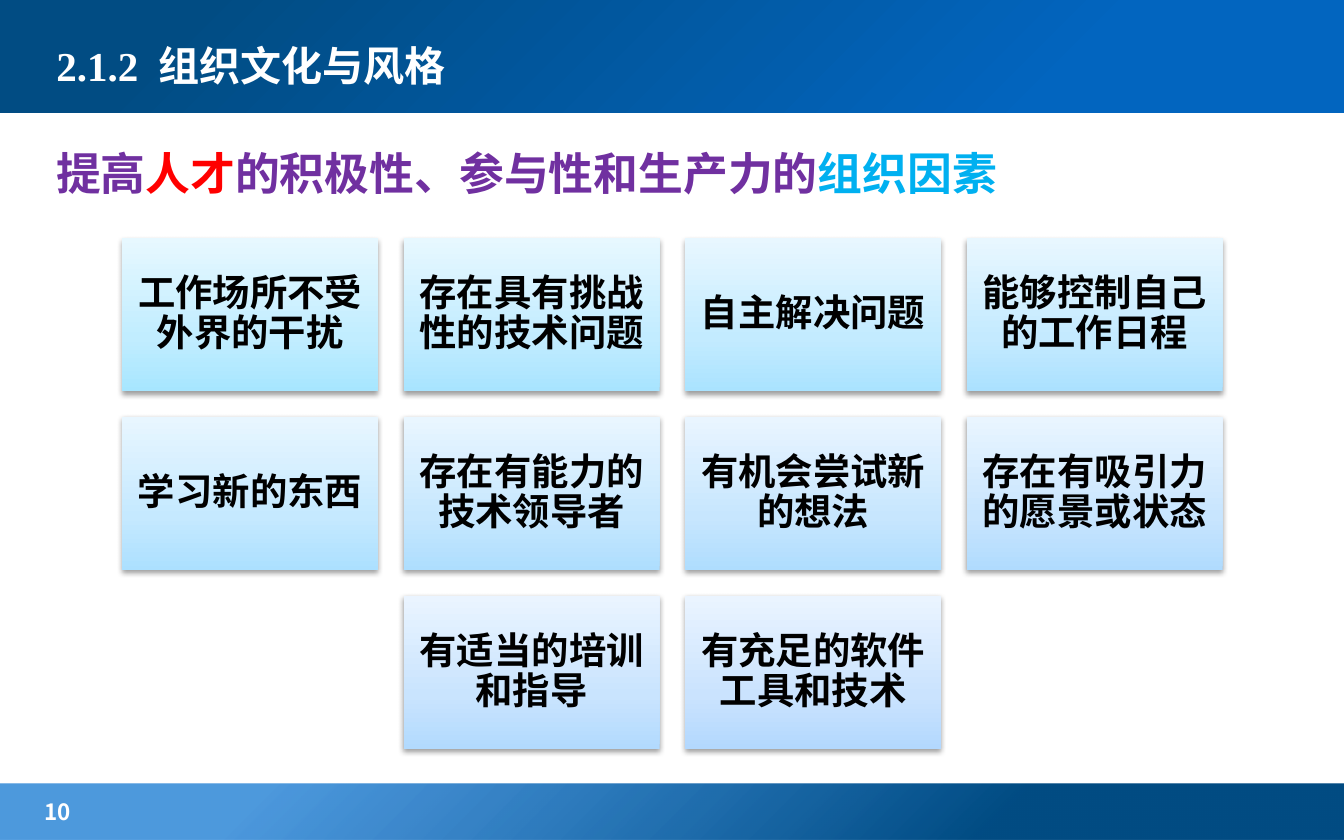
from pptx import Presentation
from pptx.dml.color import RGBColor as Rgb
from pptx.enum.shapes import MSO_SHAPE as Shape
from pptx.enum.text import MSO_ANCHOR as Anchor, PP_ALIGN as Align
from pptx.oxml import parse_xml
from pptx.oxml.ns import nsdecls, qn
from pptx.util import Cm, Pt

COLORS = {
    "white": "FFFFFF", "black": "000000", "purple": "7030A0",
    "red": "FF0000", "sky": "00B0F0", "navy": "014C83",
    "blue": "0265BF", "bright": "026DCE",
}
CARD_STOPS = [(0, "A7E6FF", "B3D8FE"), (35, "C1EDFF", "CAE3FE"), (100, "E7F8FF", "EAF4FF")]
RADIAL = '<a:path path="circle"><a:fillToRect l="100000" t="100000"/></a:path>'
UPWARD = '<a:lin ang="16200000" scaled="0"/>'
LATIN, CHINESE = "Times New Roman", "Noto Sans CJK SC"
CARD_ROWS = [
    (0, ["工作场所不受外界的干扰", "存在具有挑战性的技术问题", "自主解决问题", "能够控制自己的工作日程"]),
    (0, ["学习新的东西", "存在有能力的技术领导者", "有机会尝试新的想法", "存在有吸引力的愿景或状态"]),
    (1, ["有适当的培训和指导", "有充足的软件工具和技术"]),
]


def blend(start, end, share):
    pairs = zip(Rgb.from_string(start), Rgb.from_string(end))
    return str(Rgb(*(round(a + (b - a) * share) for a, b in pairs)))


class SlideStyler:
    def __init__(self, slide):
        self.slide = slide
        self.frame_style = {"word_wrap": True, "vertical_anchor": Anchor.MIDDLE}

    def set_text(self, box, spans, size, latin=LATIN, frame=None, para=None):
        text_frame = box.text_frame
        for name, value in {**self.frame_style, **(frame or {})}.items():
            setattr(text_frame, name, value)
        paragraph = text_frame.paragraphs[0]
        for name, value in {"alignment": Align.LEFT, **(para or {})}.items():
            setattr(paragraph, name, value)
        for text, color in spans:
            span = paragraph.add_run()
            span.text = text
            for name, value in {"size": Pt(size), "bold": True, "name": latin}.items():
                setattr(span.font, name, value)
            span.font.color.rgb = Rgb.from_string(COLORS[color])
        for face in list(box.element.iter(qn("a:latin"))):
            face.addnext(parse_xml(f'<a:ea {nsdecls("a")} typeface="{CHINESE}"/>'))

    def block(self, left, top, width, height, stops, direction):
        shape = self.slide.shapes.add_shape(
            Shape.RECTANGLE, Cm(left), Cm(top), Cm(width), Cm(height))
        marks = "".join(
            f'<a:gs pos="{place * 1000}"><a:srgbClr val="{color}">'
            f'<a:alpha val="{alpha * 1000}"/></a:srgbClr></a:gs>'
            for place, color, alpha in stops)
        gradient = parse_xml(
            f'<a:gradFill {nsdecls("a")} rotWithShape="1"><a:gsLst>{marks}</a:gsLst>'
            f'{direction}</a:gradFill>')
        shape.element.spPr.find(qn("a:prstGeom")).addnext(gradient)
        shape.line.fill.background()
        shape.shadow.inherit = False
        return shape

    def title(self, text, left, top, width, height):
        box = self.slide.shapes.title
        place = {"left": left, "top": top, "width": width, "height": height}
        for name, value in place.items():
            setattr(box, name, Cm(value))
        box.element.getparent().append(box.element)
        self.set_text(box, [(text, "white")], 22)

    def text(self, spans, left, top, width, height, size, **style):
        box = self.slide.shapes.add_textbox(Cm(left), Cm(top), Cm(width), Cm(height))
        self.set_text(box, spans, size, **style)

    def card(self, text, left, top, width, height, share):
        stops = [(place, blend(first, last, share), 100) for place, first, last in CARD_STOPS]
        shape = self.block(left, top, width, height, stops, UPWARD)
        shadow = parse_xml(
            f'<a:outerShdw {nsdecls("a")} blurRad="{Pt(3.1)}" dist="{Pt(1.6)}" dir="5400000" '
            f'rotWithShape="0"><a:srgbClr val="{COLORS["black"]}"><a:alpha val="38000"/>'
            '</a:srgbClr></a:outerShdw>')
        shape.element.spPr.find(qn("a:effectLst")).append(shadow)
        sides = ("left", "right", "top", "bottom")
        self.set_text(shape, [(text, "black")], 20,
                      frame={f"margin_{side}": Cm(0.2) for side in sides},
                      para={"alignment": Align.CENTER, "line_spacing": 0.9})


def main():
    deck = Presentation()
    deck.slide_width, deck.slide_height = Cm(25.4), Cm(15.88)
    page = SlideStyler(deck.slides.add_slide(deck.slide_layouts[5]))

    page.block(0, 14.81, 25.4, 1.07,
               [(26, COLORS["navy"], 100), (80, COLORS["bright"], 70)], RADIAL)
    page.block(0, -0.08, 25.4, 2.21,
               [(21, COLORS["blue"], 100), (86, COLORS["navy"], 100)], RADIAL)
    page.text([("10", "white")], 0.5, 15.01, 4, 0.66, 12, latin=CHINESE,
              frame={"margin_left": Cm(0.34)})
    page.title("2.1.2  组织文化与风格", 0.81, 0.33, 16.2, 1.8)
    page.text([("提高", "purple"), ("人才", "red"),
               ("的积极性、参与性和生产力的", "purple"), ("组织因素", "sky")],
              0.81, 2.13, 22.8, 9.9, 24,
              frame={"vertical_anchor": Anchor.TOP}, para={"line_spacing": 1.5})

    width, height, gap = 4.84, 2.9, 0.48
    total = sum(len(texts) for _, texts in CARD_ROWS)
    number = 0
    for row, (first_column, texts) in enumerate(CARD_ROWS):
        for column, text in enumerate(texts, first_column):
            page.card(text, 2.31 + column * (width + gap), 4.5 + row * (height + gap),
                      width, height, number / (total - 1))
            number += 1

    deck.save("out.pptx")


if __name__ == "__main__":
    main()
